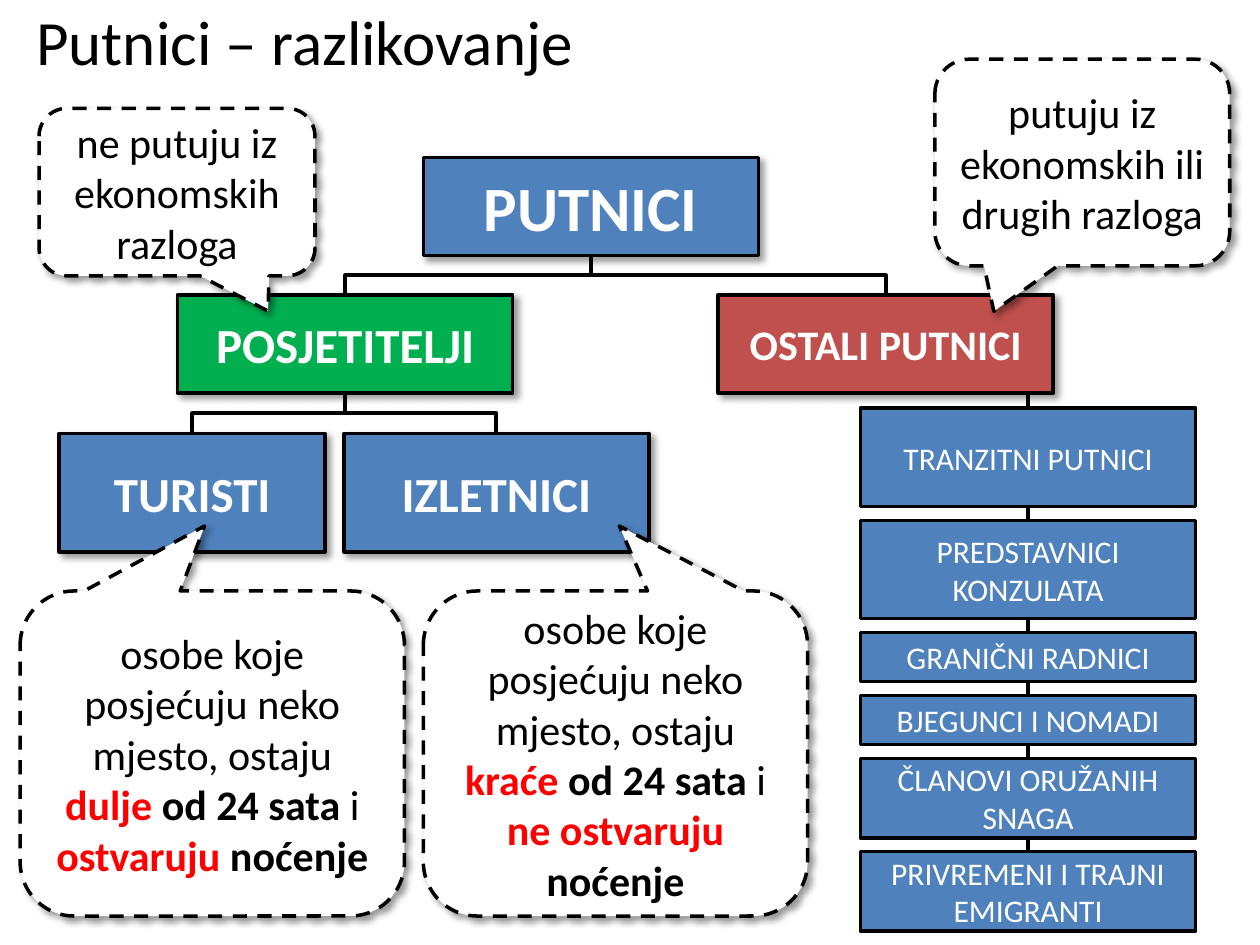
from typing import NamedTuple

from lxml.etree import SubElement
from pptx import Presentation
from pptx.dml.color import RGBColor
from pptx.enum.dml import MSO_LINE
from pptx.enum.shapes import MSO_CONNECTOR, MSO_SHAPE
from pptx.enum.text import MSO_ANCHOR, PP_ALIGN
from pptx.oxml.ns import qn
from pptx.util import Inches, Pt

FONT = "Calibri"
BLACK, WHITE, RED = "000000", "FFFFFF", "FF0000"
BLUE, GREEN, BRICK = "4F81BD", "00B050", "C0504D"
TOP, BOTTOM = 0, 2


class Run(NamedTuple):
    text: str
    color: str = BLACK
    bold: bool = False


class Box(NamedTuple):
    label: str
    left: float
    top: float
    width: float
    height: float
    fill: str = BLUE
    size: int = 18
    bold: bool = True


class Callout(NamedTuple):
    left: float
    top: float
    width: float
    height: float
    tail: tuple[float, float]
    runs: list[Run]


def rgb(color: str) -> RGBColor:
    return RGBColor.from_string(color)


def write(shape, runs: list[Run], size: int, align=PP_ALIGN.CENTER) -> None:
    frame = shape.text_frame
    frame.word_wrap = True
    frame.vertical_anchor = MSO_ANCHOR.MIDDLE
    paragraph = frame.paragraphs[0]
    paragraph.alignment = align
    for part in runs:
        run = paragraph.add_run()
        run.text = part.text
        run.font.name = FONT
        run.font.size = Pt(size)
        run.font.bold = part.bold
        run.font.color.rgb = rgb(part.color)


def paint(shape, fill: str, shadow: bool) -> None:
    shape.fill.solid()
    shape.fill.fore_color.rgb = rgb(fill)
    shape.line.color.rgb = rgb(BLACK)
    shape.line.width = Pt(2)
    shape.shadow.inherit = False
    if shadow:
        effects = shape._element.spPr.find(qn("a:effectLst"))
        outer = SubElement(effects, qn("a:outerShdw"), blurRad=str(Pt(4)),
                           dist=str(Pt(3)), dir=str(45 * 60000), algn="tl", rotWithShape="0")
        tint = SubElement(outer, qn("a:srgbClr"), val=BLACK)
        SubElement(tint, qn("a:alpha"), val="40000")


def draw_box(shapes, box: Box, shadow: bool = True):
    shape = shapes.add_shape(MSO_SHAPE.RECTANGLE, Inches(box.left), Inches(box.top),
                             Inches(box.width), Inches(box.height))
    paint(shape, box.fill, shadow)
    write(shape, [Run(box.label, WHITE, box.bold)], box.size)
    return shape


def draw_callout(shapes, callout: Callout) -> None:
    shape = shapes.add_shape(MSO_SHAPE.ROUNDED_RECTANGULAR_CALLOUT, Inches(callout.left),
                             Inches(callout.top), Inches(callout.width), Inches(callout.height))
    shape.adjustments[0], shape.adjustments[1] = callout.tail
    paint(shape, WHITE, True)
    shape.line.dash_style = MSO_LINE.DASH
    write(shape, callout.runs, 24)


def style_connector(connector) -> None:
    connector.line.color.rgb = rgb(BLACK)
    connector.line.width = Pt(2.25)
    SubElement(connector._element.spPr, qn("a:effectLst"))


def draw_branch(shapes, parent, child) -> None:
    """Elbow from the parent's bottom to the child's top, leaving downwards."""
    connector = shapes.add_connector(MSO_CONNECTOR.ELBOW, 0, 0, 0, 0)
    connector.begin_connect(parent, BOTTOM)
    connector.end_connect(child, TOP)
    start_x, start_y = parent.left + parent.width // 2, parent.top + parent.height
    end_x, end_y = child.left + child.width // 2, child.top
    drop, span = end_y - start_y, abs(end_x - start_x)
    # The elbow is turned a quarter, so its width is the drop and its height the span
    xfrm = connector._element.spPr.find(qn("a:xfrm"))
    for flip in ("flipH", "flipV"):
        xfrm.attrib.pop(flip, None)
    connector.left = (start_x + end_x - drop) // 2
    connector.top = (start_y + end_y - span) // 2
    connector.width, connector.height = drop, span
    goes_right = end_x > start_x
    xfrm.set("rot", str((270 if goes_right else 90) * 60000))
    if goes_right:
        xfrm.set("flipH", "1")
    style_connector(connector)


# Column of other travellers: label and height
COLUMN_LEFT, COLUMN_TOP, COLUMN_WIDTH, COLUMN_GAP = 6.83, 3.24, 2.66, 0.11
OTHERS = [
    ("TRANZITNI PUTNICI", 0.78),
    ("PREDSTAVNICI KONZULATA", 0.78),
    ("GRANIČNI RADNICI", 0.39),
    ("BJEGUNCI I NOMADI", 0.39),
    ("ČLANOVI ORUŽANIH SNAGA", 0.63),
    ("PRIVREMENI I TRAJNI EMIGRANTI", 0.63),
]

TREE = {
    "travellers": Box("PUTNICI", 3.36, 1.25, 2.66, 0.78, size=36),
    "visitors": Box("POSJETITELJI", 1.41, 2.34, 2.66, 0.78, GREEN, 28),
    "others": Box("OSTALI PUTNICI", 5.7, 2.34, 2.66, 0.78, BRICK, 24),
    "tourists": Box("TURISTI", 0.47, 3.44, 2.11, 0.94, size=28),
    "trippers": Box("IZLETNICI", 2.73, 3.44, 2.42, 0.94, size=28),
}
BRANCHES = [("travellers", "visitors"), ("travellers", "others"),
            ("visitors", "tourists"), ("visitors", "trippers")]


def stay_runs(length: str, overnight: str, ending: str) -> list[Run]:
    return [Run("osobe koje posjećuju neko mjesto, ostaju "), Run(length, RED, True),
            Run(" od 24 sata ", bold=True), Run("i "), Run(overnight, RED, True),
            Run(ending, bold=True)]


CALLOUTS = [
    Callout(0.16, 4.69, 3.05, 2.58, (-0.02, -0.7),
            stay_runs("dulje", "ostvaruju", " noćenje")),
    Callout(3.36, 4.69, 3.05, 2.58, (0.01, -0.7),
            stay_runs("kraće", "ne ostvaruju ", "noćenje")),
    Callout(7.42, 0.47, 2.34, 1.64, (-0.3, 0.72),
            [Run("putuju iz ekonomskih ili drugih razloga")]),
    Callout(0.31, 0.86, 2.19, 1.33, (0.33, 0.71),
            [Run("ne putuju iz ekonomskih razloga")]),
]


def main() -> None:
    presentation = Presentation()
    presentation.slide_width, presentation.slide_height = Inches(10), Inches(7.5)
    shapes = presentation.slides.add_slide(presentation.slide_layouts[6]).shapes

    # Column of other travellers on its trunk
    middle = Inches(COLUMN_LEFT + COLUMN_WIDTH / 2)
    trunk = shapes.add_connector(MSO_CONNECTOR.STRAIGHT, middle, Inches(3.08),
                                 middle, Inches(6.75))
    style_connector(trunk)
    top = COLUMN_TOP
    for label, height in OTHERS:
        last_box = draw_box(shapes, Box(label, COLUMN_LEFT, top, COLUMN_WIDTH, height,
                                        bold=False), shadow=False)
        top += height + COLUMN_GAP
    trunk.end_connect(last_box, TOP)

    # Title
    title = shapes.add_textbox(Inches(0.19), Inches(-0.03), Inches(9.69), Inches(0.7))
    write(title, [Run("Putnici – razlikovanje")], 36, PP_ALIGN.LEFT)

    # Tree and its branches
    nodes = {name: draw_box(shapes, box) for name, box in TREE.items()}
    for parent, child in BRANCHES:
        draw_branch(shapes, nodes[parent], nodes[child])

    # Explanations
    for callout in CALLOUTS:
        draw_callout(shapes, callout)

    presentation.save("out.pptx")


if __name__ == "__main__":
    main()
